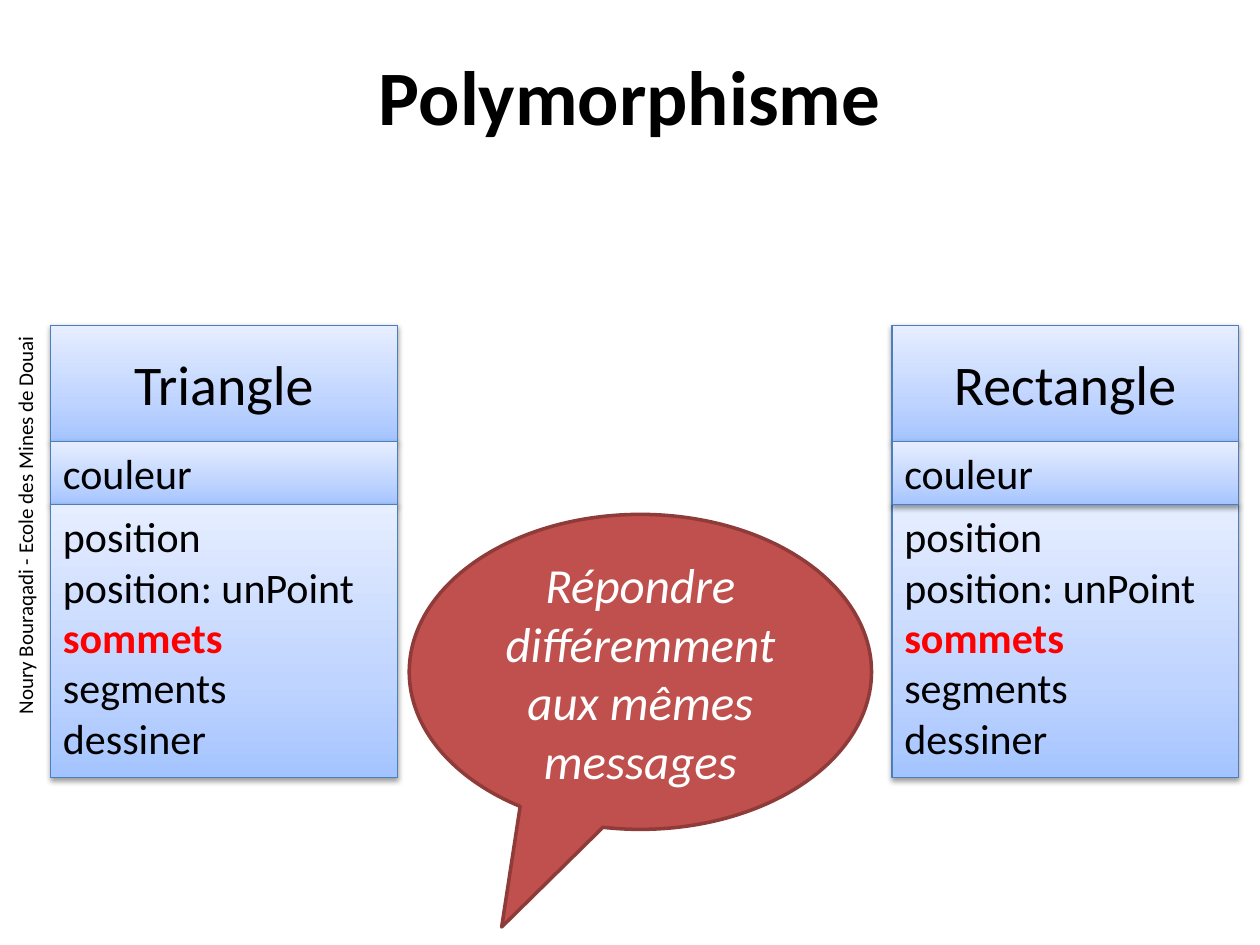
import dataclasses
import typing

import lxml.etree
import pptx
import pptx.dml.color
import pptx.enum.shapes
import pptx.enum.text
import pptx.oxml.ns
import pptx.util

Cm = pptx.util.Cm
Pt = pptx.util.Pt
KIND = pptx.enum.shapes.MSO_SHAPE
ALIGN = pptx.enum.text.PP_ALIGN
ANCHOR = pptx.enum.text.MSO_ANCHOR
qn = pptx.oxml.ns.qn

FONT = "Calibri"
COLORS = {
    "text": "000000",
    "accent": "FF0000",
    "edge": "4B7EBC",
    "bubble": "C0504D",
    "rim": "8E3B39",
    "light": "FFFFFF",
    "shadow": "000000",
    "low": "A4C4FF",
    "mid": "BFD4FF",
    "high": "E6EEFF",
}
STOPS = (("low", 0), ("mid", 35), ("high", 100))

TOP = 6.56
WIDTH = 6.99
HEAD, FIELD, BODY = 2.34, 1.27, 5.5  # heights of the three parts of a class
METHODS = ("position", "position: unPoint", "sommets", "segments", "dessiner")


@dataclasses.dataclass(frozen=True)
class Class:
    name: str
    left: float
    field_last: bool  # the field box lies over the method box


@dataclasses.dataclass(frozen=True)
class Part:
    lines: tuple[str, ...]
    top: float
    height: float
    size: int = 24
    align: typing.Any = ALIGN.LEFT
    anchor: typing.Any = ANCHOR.MIDDLE


CLASSES = (Class("Triangle", 1.02, False), Class("Rectangle", 17.98, True))


def color(name: str) -> pptx.dml.color.RGBColor:
    return pptx.dml.color.RGBColor.from_string(COLORS[name])


def write(shape, lines: tuple[str, ...], size: int, tone: str = "text",
          align=ALIGN.CENTER, anchor=ANCHOR.MIDDLE,
          bold: bool = False, italic: bool = False) -> None:
    frame = shape.text_frame
    frame.word_wrap = True
    frame.vertical_anchor = anchor
    frame.text = "\n".join(lines)
    for para in frame.paragraphs:
        para.alignment = align
        for run in para.runs:
            font = run.font
            font.name, font.size = FONT, Pt(size)
            font.bold, font.italic = bold, italic
            font.color.rgb = color(tone)


def add_tone(parent, name: str) -> lxml.etree._Element:
    return lxml.etree.SubElement(parent, qn("a:srgbClr"), val=COLORS[name])


def shade(shape) -> None:
    """Give the shape the blue gradient and a soft shadow below it."""
    shape.fill.gradient()
    shape.fill.gradient_angle = 90
    props = shape.element.spPr
    stops = props.find(".//" + qn("a:gsLst"))
    for stop in list(stops):
        stops.remove(stop)
    for name, place in STOPS:
        add_tone(lxml.etree.SubElement(stops, qn("a:gs"), pos=str(place * 1000)), name)
    shape.shadow.inherit = False
    cast = lxml.etree.SubElement(
        props.find(qn("a:effectLst")), qn("a:outerShdw"),
        blurRad=str(Pt(3.15)), dist=str(Pt(1.57)), dir="5400000", rotWithShape="0")
    lxml.etree.SubElement(add_tone(cast, "shadow"), qn("a:alpha"), val="38000")


def draw_part(group, left: float, part: Part) -> None:
    box = group.shapes.add_shape(
        KIND.RECTANGLE, Cm(left), Cm(part.top), Cm(WIDTH), Cm(part.height))
    shade(box)
    box.line.color.rgb = color("edge")
    box.line.width = Pt(0.75)
    write(box, part.lines, part.size, align=part.align, anchor=part.anchor)
    for para in box.text_frame.paragraphs:
        if para.text == "sommets":
            para.runs[0].font.bold = True
            para.runs[0].font.color.rgb = color("accent")


def draw_class(slide, item: Class) -> None:
    group = slide.shapes.add_group_shape()
    head = Part((item.name,), TOP, HEAD, size=32, align=ALIGN.CENTER)
    field = Part(("couleur",), TOP + HEAD, FIELD)
    body = Part(METHODS, TOP + HEAD + FIELD, BODY, anchor=ANCHOR.TOP)
    rest = (body, field) if item.field_last else (field, body)
    for part in (head, *rest):
        draw_part(group, item.left, part)


def draw_bubble(slide) -> None:
    bubble = slide.shapes.add_shape(
        KIND.OVAL_CALLOUT, Cm(8.25), Cm(10.37), Cm(9.32), Cm(6.35))
    bubble.adjustments[0] = -0.3
    bubble.adjustments[1] = 0.81
    bubble.shadow.inherit = False
    bubble.fill.solid()
    bubble.fill.fore_color.rgb = color("bubble")
    bubble.line.color.rgb = color("rim")
    bubble.line.width = Pt(2)
    write(bubble, ("Répondre différemment", "aux mêmes", "messages"), 28,
          tone="light", italic=True)


def main() -> None:
    deck = pptx.Presentation()
    deck.slide_width, deck.slide_height = Cm(25.4), Cm(19.05)
    slide = deck.slides.add_slide(deck.slide_layouts[6])

    title = slide.shapes.add_textbox(0, 0, deck.slide_width, Cm(3.81))
    write(title, ("Polymorphisme",), 44, bold=True)

    credit = slide.shapes.add_textbox(Cm(-5), Cm(10.08), Cm(11), Cm(1.02))
    credit.rotation = 270
    write(credit, ("Noury Bouraqadi - Ecole des Mines de Douai",), 12)

    for item in CLASSES:
        draw_class(slide, item)
    draw_bubble(slide)
    deck.save("out.pptx")


if __name__ == "__main__":
    main()
